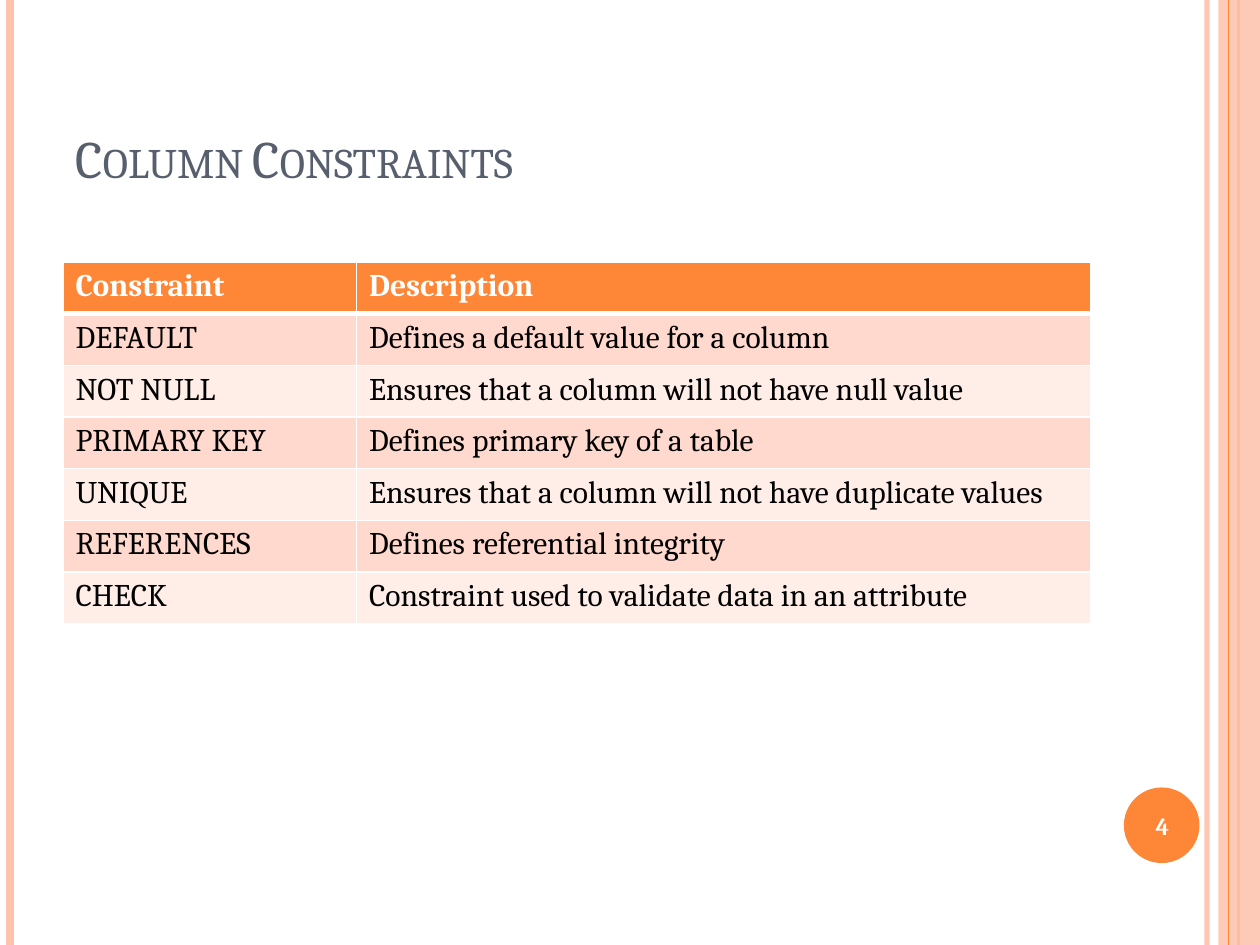
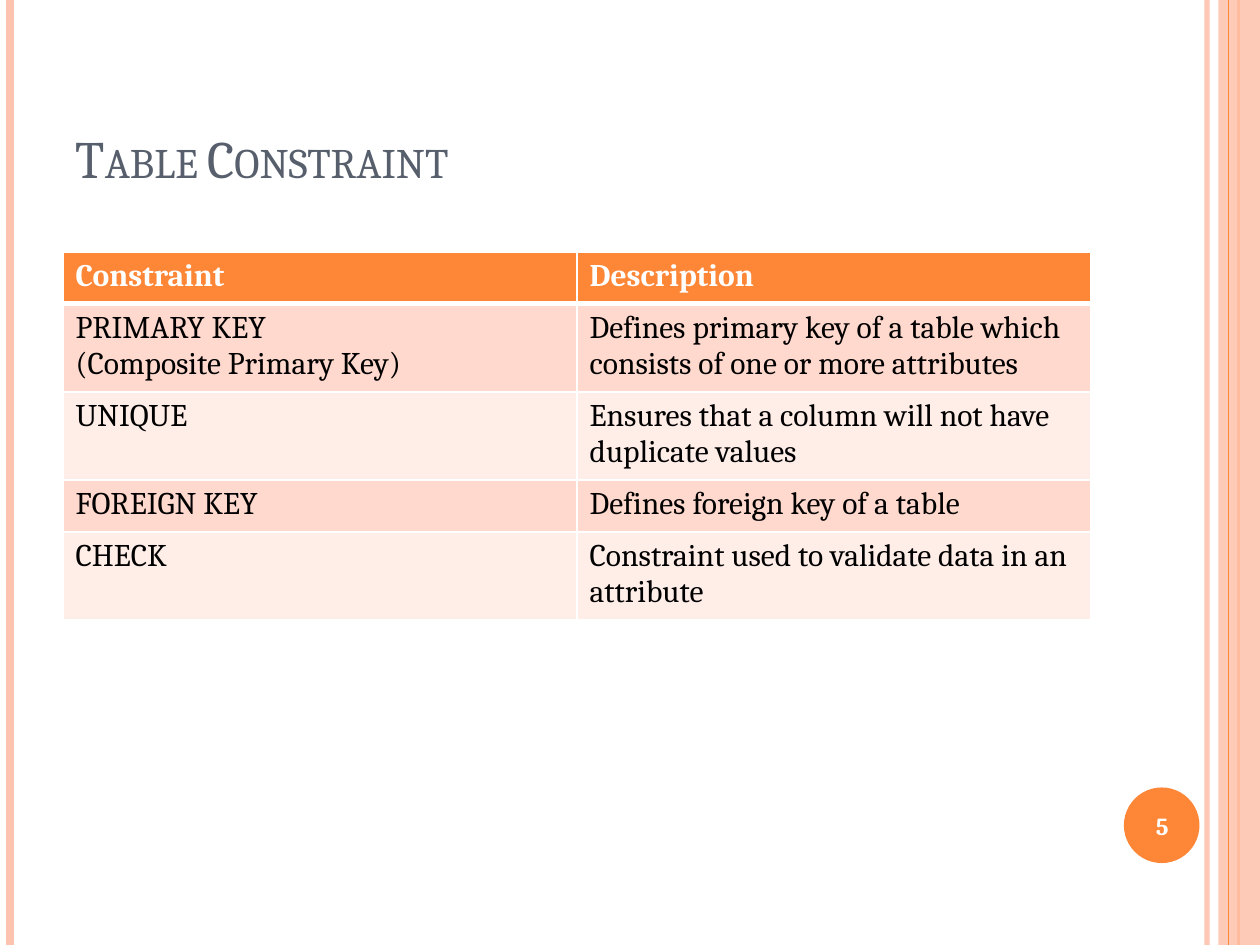
import pptx
import pptx.util
import pptx.dml.color
import pptx.enum.shapes
import pptx.enum.text
import pptx.oxml
import pptx.oxml.ns
from lxml import etree

Inches = pptx.util.Inches
Pt = pptx.util.Pt
qn = pptx.oxml.ns.qn
FONT = "Cambria"
COLORS = {
    "accent": "FE8637",
    "peach": "FEC3AE",
    "title": "575F6D",
    "odd": "FFD9CE",
    "even": "FFEDE8",
    "white": "FFFFFF",
    "black": "000000",
}
HEAD = ("Constraint", "Description")


def color(name):
    """Return the named colour."""
    return pptx.dml.color.RGBColor.from_string(COLORS[name])


def fade(part, share):
    """Make the solid colour inside a fill or line partly transparent."""
    tint = next(part.iter(qn("a:srgbClr")))
    etree.SubElement(tint, qn("a:alpha"), val=str(share * 1000))


def add_run(para, text, size, tone, bold=False):
    """Add one styled run to a paragraph."""
    run = para.add_run()
    run.text = text
    run.font.name = FONT
    run.font.size = Pt(size)
    run.font.bold = bold
    run.font.color.rgb = color(tone)
    return run


def add_stripe(slide, x, width, tone, share=100):
    """Draw a vertical line over the full height of the slide."""
    line = slide.shapes.add_connector(
        pptx.enum.shapes.MSO_CONNECTOR.STRAIGHT,
        Inches(x), 0, Inches(x), Inches(7.5))
    line.line.width = Pt(width)
    line.line.color.rgb = color(tone)
    props = line._element.spPr
    etree.SubElement(props, qn("a:effectLst"))
    if share < 100:
        fade(props, share)


def add_block(slide, kind, box, tone, share=100):
    """Draw a plain filled shape."""
    shape = slide.shapes.add_shape(kind, *map(Inches, box))
    shape.shadow.inherit = False
    shape.fill.solid()
    shape.fill.fore_color.rgb = color(tone)
    shape.line.fill.background()
    if share < 100:
        fade(shape._element.spPr, share)


def add_frame(slide, number):
    """Draw the side bands and the page number badge."""
    kinds = pptx.enum.shapes.MSO_SHAPE
    add_stripe(slide, 9.58, 3, "peach", 93)
    add_stripe(slide, 0.08, 4.5, "peach")
    add_stripe(slide, 9.83, 1.5, "accent")
    add_block(slide, kinds.RECTANGLE, (9.67, 0, 0.33, 7.5), "peach", 87)
    add_stripe(slide, 9.75, 0.75, "accent")
    add_block(slide, kinds.OVAL, (8.92, 6.25, 0.6, 0.6), "accent")
    box = slide.shapes.add_textbox(*map(Inches, (8.89, 6.27, 0.67, 0.57)))
    frame = box.text_frame
    frame.word_wrap = True
    frame.vertical_anchor = pptx.enum.text.MSO_ANCHOR.MIDDLE
    para = frame.paragraphs[0]
    para.alignment = pptx.enum.text.PP_ALIGN.CENTER
    add_run(para, str(number), 14, "white", True)


def set_title(slide, text):
    """Place and style the title in small capitals."""
    title = slide.shapes.title
    title.left, title.top, title.width, title.height = map(
        Inches, (0.5, 0.3, 8.17, 1.25))
    frame = title.text_frame
    frame.word_wrap = True
    frame.auto_size = pptx.enum.text.MSO_AUTO_SIZE.NONE
    frame.vertical_anchor = pptx.enum.text.MSO_ANCHOR.BOTTOM
    para = frame.paragraphs[0]
    para.alignment = pptx.enum.text.PP_ALIGN.LEFT
    run = add_run(para, text, 30, "title")
    run.font._element.set("cap", "small")


def set_edges(cell, base):
    """Give a cell white borders, with the bottom one of the given width."""
    props = cell._tc.get_or_add_tcPr()
    for spot, (side, width) in enumerate(
            (("L", 1), ("R", 1), ("T", 1), ("B", base))):
        edge = etree.Element(qn("a:ln" + side), w=str(Pt(width)))
        fill = etree.SubElement(edge, qn("a:solidFill"))
        etree.SubElement(fill, qn("a:srgbClr"), val=COLORS["white"])
        props.insert(spot, edge)


def fill_cell(cell, text, head, tone):
    """Write the lines of a cell and colour it."""
    cell.fill.solid()
    cell.fill.fore_color.rgb = color(tone)
    set_edges(cell, 3 if head else 1)
    frame = cell.text_frame
    for i, line in enumerate(text.split("\n")):
        para = frame.add_paragraph() if i else frame.paragraphs[0]
        add_run(para, line, 18, "white" if head else "black", head)


def add_grid(slide, top, widths, rows):
    """Add a table with a header row and two alternating row colours."""
    rows = [HEAD, *rows]
    high = 0.41
    table = slide.shapes.add_table(
        len(rows), len(widths), Inches(0.5), Inches(top),
        Inches(sum(widths)), Inches(high * len(rows))).table
    for col, width in zip(table.columns, widths):
        col.width = Inches(width)
    for r, row in enumerate(rows):
        tone = "accent" if r == 0 else "odd" if r % 2 else "even"
        for c, text in enumerate(row):
            fill_cell(table.cell(r, c), text, r == 0, tone)


def add_page(deck, number, title, top, widths, rows):
    """Add one slide with title, table and shared frame."""
    slide = deck.slides.add_slide(deck.slide_layouts[5])
    add_frame(slide, number)
    set_title(slide, title)
    add_grid(slide, top, widths, rows)


def main():
    """Build and save the slides."""
    deck = pptx.Presentation()
    deck.slide_width, deck.slide_height = Inches(10), Inches(7.5)
    unique = ("UNIQUE", "Ensures that a column will not have duplicate values")
    check = ("CHECK", "Constraint used to validate data in an attribute")
    add_page(deck, 4, "Column Constraints", 2.08, (2.33, 5.83), [
        ("DEFAULT", "Defines a default value for a column"),
        ("NOT NULL", "Ensures that a column will not have null value"),
        ("PRIMARY KEY", "Defines primary key of a table"),
        unique,
        ("REFERENCES", "Defines referential integrity"),
        check,
    ])
    add_page(deck, 5, "Table Constraint", 2, (4.08, 4.08), [
        ("PRIMARY KEY\n(Composite Primary Key)",
         "Defines primary key of a table which consists of "
         "one or more attributes"),
        unique,
        ("FOREIGN KEY", "Defines foreign key of a table"),
        check,
    ])
    deck.save("out.pptx")


main()
